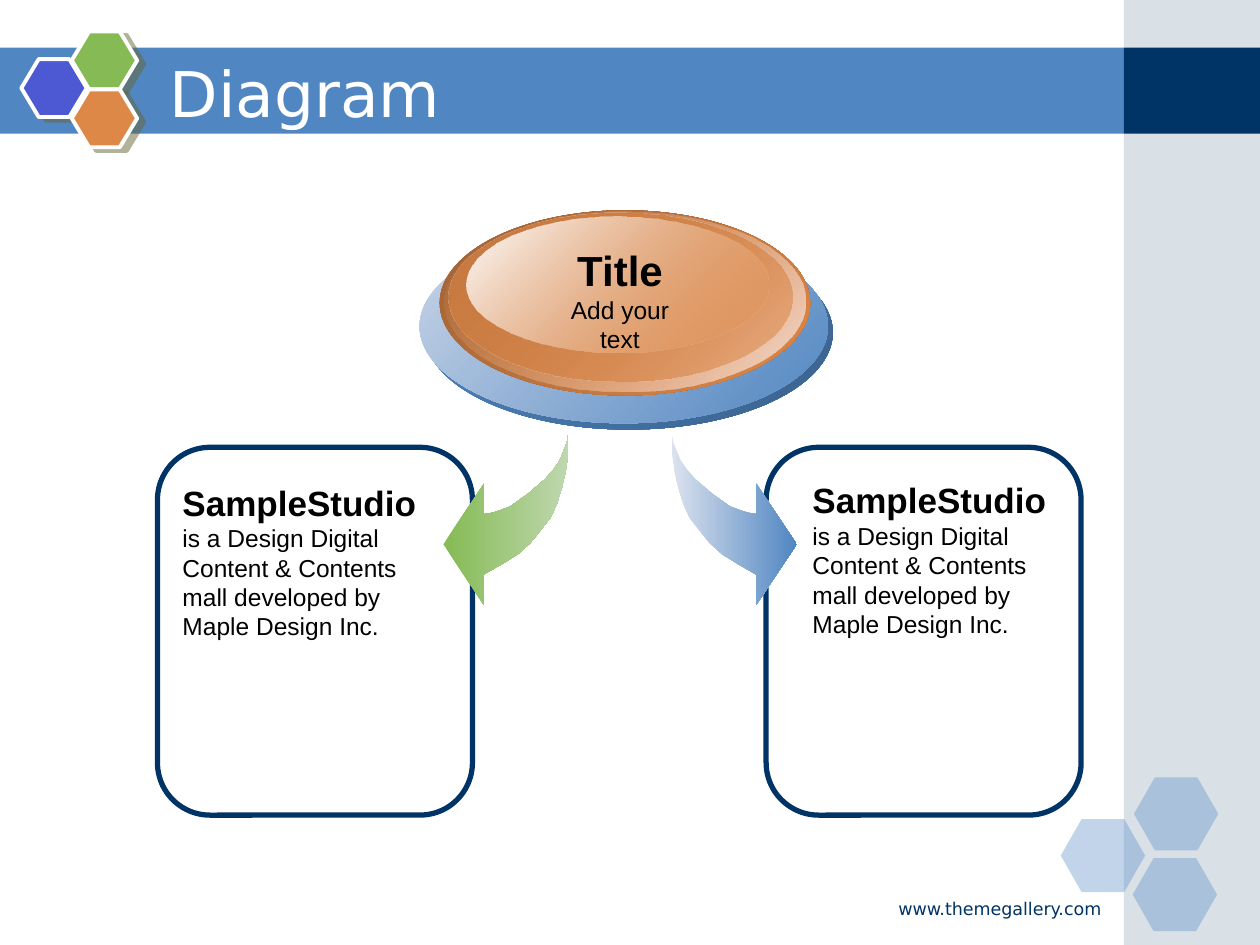
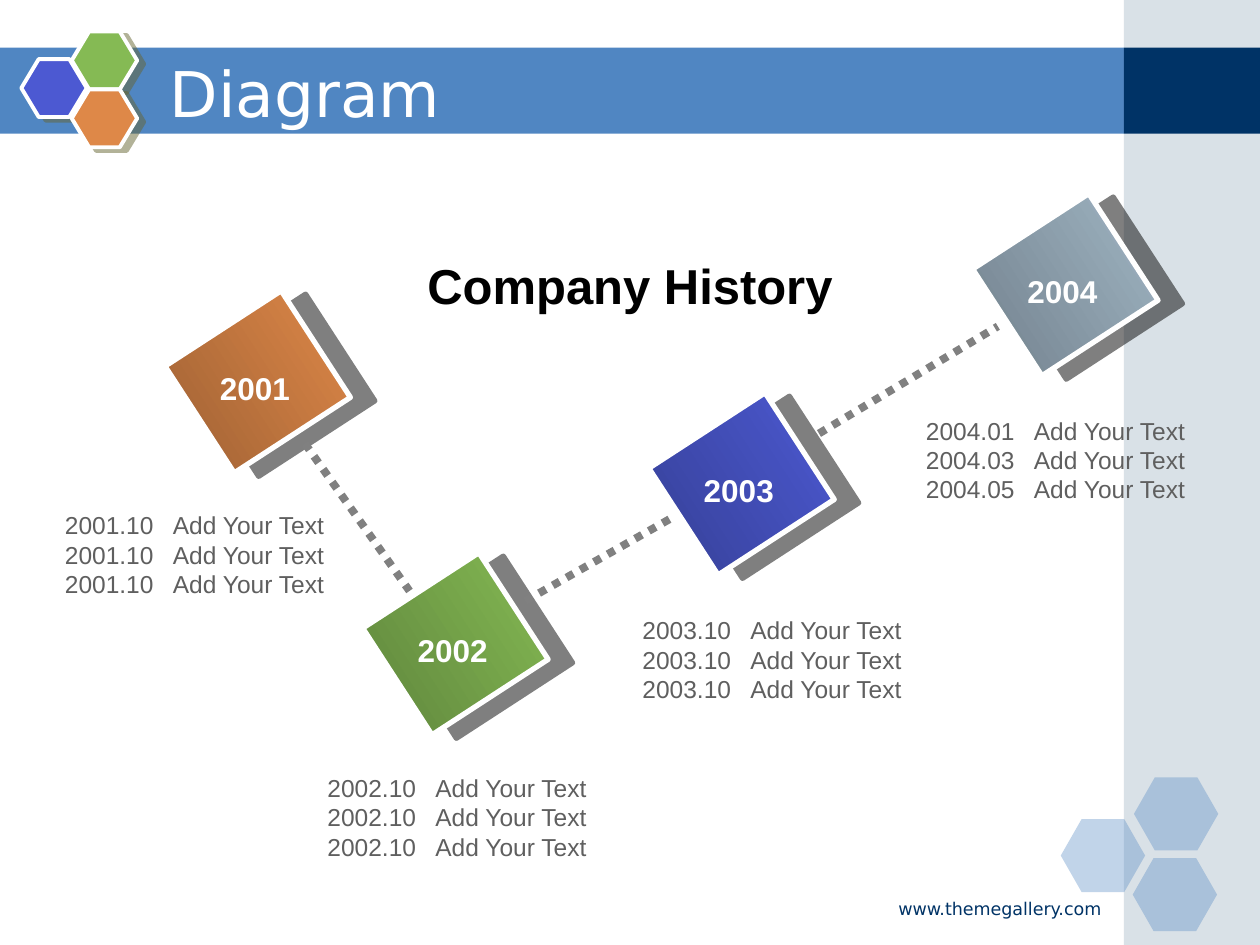
from pptx import Presentation
from pptx.util import Pt
from pptx.dml.color import RGBColor
from pptx.enum.dml import MSO_LINE
from pptx.enum.shapes import MSO_CONNECTOR, MSO_SHAPE
from pptx.enum.text import MSO_ANCHOR, PP_ALIGN
from pptx.oxml.ns import qn
from lxml.etree import SubElement

# Content
TITLE = "Diagram"
SITE = "www.themegallery.com"
HUB = ("Title", "Add your text")
CARD = ("SampleStudio ", "is a Design Digital Content & Contents mall "
        "developed by Maple Design Inc.")
HEAD = "Company History"
ENTRY = "Add Your Text"
# year, colours, tile corner, dates, corner of the dates
YEARS = [
    ("2001", "orange", "brown", (110.9, 178.6), ["2001.10"] * 3, (30, 288)),
    ("2002", "green", "moss", (223.9, 328.3), ["2002.10"] * 3, (180, 438)),
    ("2003", "violet", "indigo", (387.4, 236.9), ["2003.10"] * 3, (360, 348)),
    ("2004", "mist", "slate", (572.4, 123.1),
     ["2004.01", "2004.03", "2004.05"], (522, 234)),
]

# Style
HEX = {
    "white": "FFFFFF", "black": "000000", "navy": "003366", "blue": "5086C2",
    "deep": "3A628E", "sky": "CAD5E7", "pale": "DBE2EE", "green": "85BA54",
    "moss": "5F853C", "lime": "BED7AE", "orange": "DE8848", "brown": "9F6134",
    "rust": "C97B41", "peach": "F4DFD6", "violet": "4C59D2",
    "indigo": "364096", "mist": "A0B5C4", "slate": "72818C",
    "text": "5F5F5F", "dots": "808080", "olive": "666633",
}
SANS, WIDE = "Arial", "DejaVu Sans"
LEFT, MID, RIGHT = PP_ALIGN.LEFT, PP_ALIGN.CENTER, PP_ALIGN.RIGHT

# Places
SIDE = (642.24, 77.76)  # left and width of the side strip
BAND = (27.2, 49.2)     # top and height of the title band
MARKS = [(606.2, 468), (648, 444.2), (647.3, 490.3)]
LOGO = [("violet", 12.2, 33.8), ("green", 41, 18), ("orange", 41, 51.1)]
CARDS = [(90, 97.2, 271.4), (437.8, 457.2, 270)]  # frame x, text x, text y
DISCS = [  # box, then two gradient stops with their opacity
    ((242.6, 134.6, 233.3, 110.9), ("blue", 100), ("deep", 100)),
    ((239.8, 131, 233.3, 110.9), ("sky", 100), ("blue", 100)),
    ((251.3, 120.2, 211.7, 105.8), ("brown", 100), ("orange", 100)),
    ((254.2, 121, 205.9, 103), ("orange", 0), ("peach", 100)),
    ((256.3, 121.7, 196.6, 96.5), ("rust", 100), ("orange", 48)),
    ((266.4, 123.8, 172.8, 77.8), ("white", 100), ("orange", 38)),
]
ARROW = [  # offsets away from the root of the arrow
    (0, 0), (0, 10.8), (1.4, 20.9), (3.6, 30.2), (6.5, 39.6), (10.1, 47.5),
    (15.8, 54.7), (21.6, 61.9), (28.8, 68.4), (38.2, 74.2), (48.2, 79.9),
    (48.2, 97.2), (71.3, 62.6), (48.2, 28.1), (48.2, 45.4), (43.2, 44.6),
    (38.9, 43.2), (33.1, 41), (28.1, 37.4), (23, 33.8), (18, 29.5),
    (13, 25.2), (8.6, 20.2), (5, 15.1), (2.9, 10.1), (0.7, 4.3),
]
ROOTS = [(324.7, -1, "green", "lime"), (384, 1, "pale", "blue")]
LINKS = [(174.2, 253.4, 234, 337.7), (300.2, 343.4, 384, 295.9),
         (468, 247.7, 570.2, 186.5)]


def color(name):
    return RGBColor.from_string(HEX[name])


def fade(node, alpha):
    """Set the opacity, in percent, of a colour element."""
    if alpha < 100:
        SubElement(node, qn("a:alpha"), val=str(alpha * 1000))


def plain(shape, fill=None, alpha=100, line=None, width=0):
    shape.shadow.inherit = False
    if fill:
        shape.fill.solid()
        shape.fill.fore_color.rgb = color(fill)
        fade(shape.fill._xPr.find(".//" + qn("a:srgbClr")), alpha)
    else:
        shape.fill.background()
    if line:
        shape.line.color.rgb = color(line)
        shape.line.width = Pt(width)
    else:
        shape.line.fill.background()
    return shape


def blend(shape, stops, angle):
    """Fill with a two-colour gradient; the angle runs clockwise."""
    fill = shape.fill
    fill.gradient()
    fill.gradient_angle = 360 - angle
    for stop, (name, alpha) in zip(fill.gradient_stops, stops):
        stop.color.rgb = color(name)
    nodes = fill._xPr.iter(qn("a:srgbClr"))
    for node, (name, alpha) in zip(list(nodes), stops):
        fade(node, alpha)


def drop(shape, name, dist, angle):
    """Add a half-transparent hard shadow."""
    effects = shape._element.spPr.find(qn("a:effectLst"))
    outer = SubElement(effects, qn("a:outerShdw"), blurRad="0",
                       dist=str(Pt(dist)), dir=str(angle * 60000),
                       algn="ctr", rotWithShape="0")
    fade(SubElement(outer, qn("a:srgbClr"), val=HEX[name]), 50)


def draw(slide, kind, box, **look):
    shape = slide.shapes.add_shape(kind, *map(Pt, box))
    return plain(shape, **look)


def hexa(slide, box, adjust, **look):
    shape = draw(slide, MSO_SHAPE.HEXAGON, box, **look)
    shape.adjustments[0] = adjust
    return shape


def style(run, size, tint, bold=False, face=SANS):
    run.font.size = Pt(size)
    run.font.name = face
    run.font.bold = bold
    run.font.color.rgb = color(tint)


def write(slide, box, lines, size, tint, align=LEFT, bold=False, face=SANS):
    frame = slide.shapes.add_textbox(*map(Pt, box)).text_frame
    frame.word_wrap = True
    frame.text = "\n".join(lines)
    for para in frame.paragraphs:
        para.alignment = align
        for run in para.runs:
            style(run, size, tint, bold, face)
    return frame


def base(deck):
    """Start a slide with the shared band, strip, hexagons and title."""
    slide = deck.slides.add_slide(deck.slide_layouts[6])
    rect = MSO_SHAPE.RECTANGLE
    left, wide = SIDE
    top, high = BAND
    draw(slide, rect, (0, top, left, high), fill="blue")
    draw(slide, rect, (left, 0, wide, 540), fill="mist", alpha=40)
    draw(slide, rect, (left, top, wide, high), fill="navy")
    for x, y in MARKS:
        hexa(slide, (x, y, 48.2, 41.8), 0.286, fill="blue", alpha=35)
    for name, x, y in LOGO:
        mark = hexa(slide, (x, y, 37.4, 33.1), 0.3,
                    fill=name, line="white", width=2.25)
        drop(mark, "olive", 4.5, 27)
    write(slide, (408.2, 509.8, 228.2, 18.7), [SITE], 10, "navy",
          RIGHT, face=WIDE)
    frame = write(slide, (90, 30.2, 527.8, 44.6), [TITLE], 36, "white",
                  face=WIDE)
    frame.vertical_anchor = MSO_ANCHOR.MIDDLE
    return slide


def hub(deck):
    slide = base(deck)

    # Cards
    for x, left, top in CARDS:
        draw(slide, MSO_SHAPE.ROUNDED_RECTANGLE, (x, 255.6, 180, 210.2),
             line="navy", width=3)
        name, rest = CARD
        frame = write(slide, (left, top, 160.6, 97.9), [name], 20, "black",
                      bold=True)
        run = frame.paragraphs[0].add_run()
        run.text = rest
        style(run, 14, "black")

    # Mirrored arrows
    for root, way, first, last in ROOTS:
        spots = [(Pt(root + way * x), Pt(248.4 + y)) for x, y in ARROW]
        path = slide.shapes.build_freeform(*spots[0], scale=1.0)
        path.add_line_segments(spots[1:], close=True)
        arrow = plain(path.convert_to_shape())
        blend(arrow, [(first, 100), (last, 100)], 0)

    # Stacked discs and their caption
    for box, *stops in DISCS:
        blend(draw(slide, MSO_SHAPE.OVAL, box), stops, 45)
    frame = write(slide, (307.3, 136.1, 94, 52.6), HUB, 14, "black", MID)
    style(frame.paragraphs[0].runs[0], 24, "black", True)


def history(deck):
    slide = base(deck)
    write(slide, (198, 142.6, 324, 41), [HEAD], 28, "black", MID, True)

    # Tiles with years and dated entries
    for year, light, dark, (x, y), dates, (left, top) in YEARS:
        tile = draw(slide, MSO_SHAPE.RECTANGLE, (x, y, 72.7, 79.2),
                    line="white", width=3)
        tile.rotation = 57
        blend(tile, [(light, 100), (dark, 100)], 90)
        drop(tile, "black", 14.1, 8)
        write(slide, (x + 7.4, y + 28.6, 54.7, 28.8), [year], 18, "white",
              MID, True)
        rows = [f"{date}\t{ENTRY}" for date in dates]
        frame = write(slide, (left, top, 170, 57.6), rows, 14, "text")
        for para in frame.paragraphs:
            tabs = SubElement(para._p.get_or_add_pPr(), qn("a:tabLst"))
            SubElement(tabs, qn("a:tab"), pos=str(Pt(61.7)), algn="l")

    # Dotted links
    for ends in LINKS:
        link = slide.shapes.add_connector(MSO_CONNECTOR.STRAIGHT,
                                          *map(Pt, ends))
        link.line.color.rgb = color("dots")
        link.line.width = Pt(4.5)
        link.line.dash_style = MSO_LINE.ROUND_DOT
        SubElement(link._element.spPr, qn("a:effectLst"))


def main():
    deck = Presentation()
    deck.slide_width, deck.slide_height = Pt(720), Pt(540)
    hub(deck)
    history(deck)
    deck.save("out.pptx")


if __name__ == "__main__":
    main()
